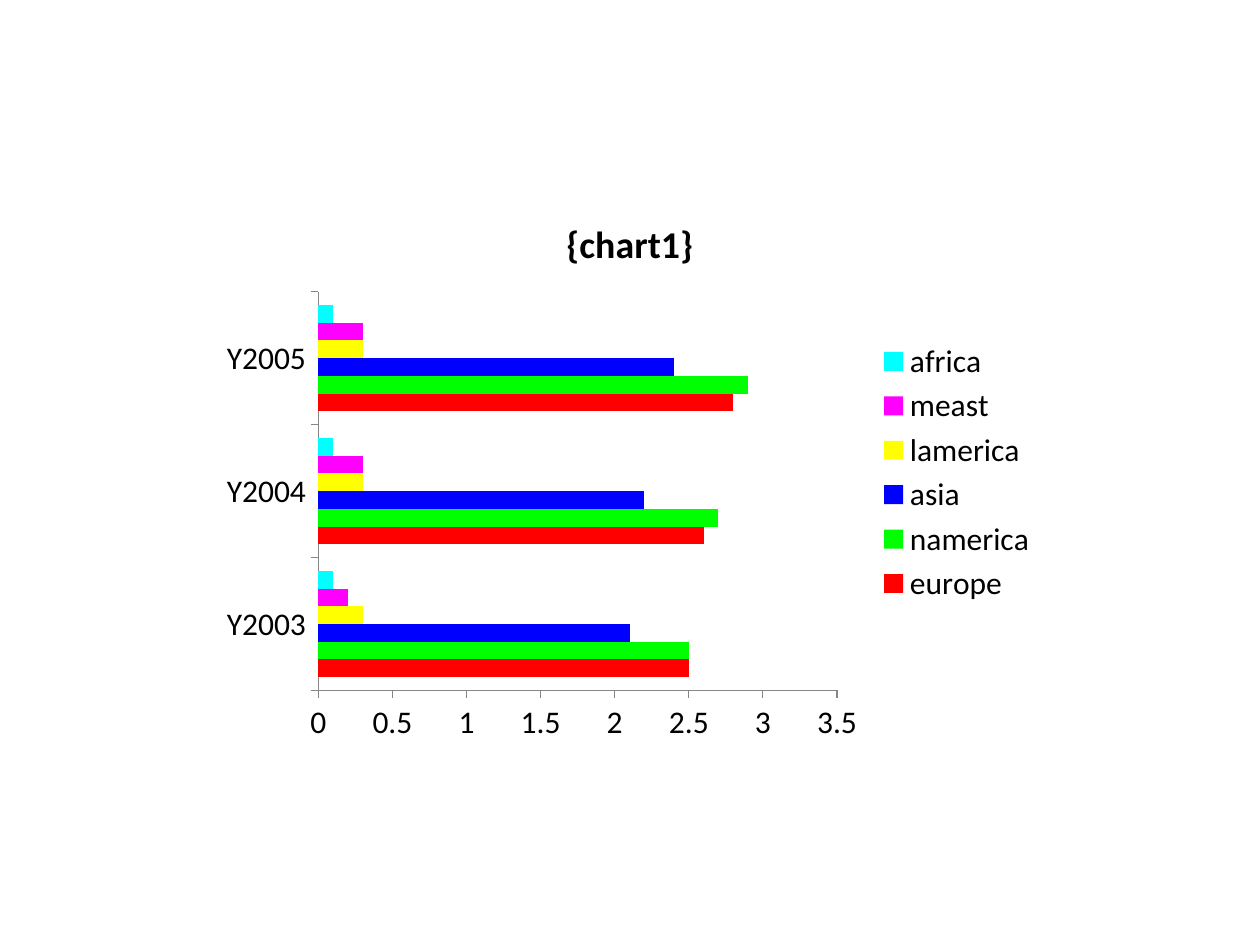
from pptx import Presentation
from pptx.chart.data import CategoryChartData as ChartData
from pptx.dml.color import RGBColor
from pptx.enum.chart import XL_CHART_TYPE as ChartType
from pptx.enum.chart import XL_LEGEND_POSITION as LegendPosition
from pptx.enum.chart import XL_TICK_MARK as TickMark
from pptx.util import Inches, Pt

BLACK = RGBColor(0, 0, 0)
GRAY = RGBColor(0x86, 0x86, 0x86)
RED = RGBColor(255, 0, 0)
GREEN = RGBColor(0, 255, 0)
BLUE = RGBColor(0, 0, 255)
YELLOW = RGBColor(255, 255, 0)
MAGENTA = RGBColor(255, 0, 255)
CYAN = RGBColor(0, 255, 255)

YEARS = ["Y2003", "Y2004", "Y2005"]
REGIONS = [
    ("europe", RED, (2.5, 2.6, 2.8)),
    ("namerica", GREEN, (2.5, 2.7, 2.9)),
    ("asia", BLUE, (2.1, 2.2, 2.4)),
    ("lamerica", YELLOW, (0.3, 0.3, 0.3)),
    ("meast", MAGENTA, (0.2, 0.3, 0.3)),
    ("africa", CYAN, (0.1, 0.1, 0.1)),
]


def style_font(font, size=18, bold=False, color=BLACK, name="Calibri"):
    font.size = Pt(size)
    font.bold = bold
    font.name = name
    font.color.rgb = color


def write_text(frame, text, **style):
    span = frame.paragraphs[0].add_run()
    span.text = text
    style_font(span.font, **style)


class Canvas:
    def __init__(self, deck):
        self.width, self.height = deck.slide_width, deck.slide_height
        self.page = deck.slides.add_slide(deck.slide_layouts[6])

    def bar_chart(self, left, top, width, height, title, categories, rows):
        data = ChartData()
        data.categories = categories
        for name, _, values in rows:
            data.add_series(name, values)
        chart = self.page.shapes.add_chart(
            ChartType.BAR_CLUSTERED,
            int(left * self.width), int(top * self.height),
            int(width * self.width), int(height * self.height), data,
        ).chart
        style_font(chart.font)
        chart.has_title = True
        write_text(chart.chart_title.text_frame, title, size=21.6, bold=True)
        chart.chart_title.include_in_layout = False
        chart.has_legend = True
        chart.legend.position = LegendPosition.RIGHT
        chart.legend.include_in_layout = False
        plot = chart.plots[0]
        plot.gap_width = 150
        plot.vary_by_categories = False
        for series, (_, color, _) in zip(plot.series, rows):
            series.invert_if_negative = False
            series.format.fill.solid()
            series.format.fill.fore_color.rgb = color
        for axis in (chart.category_axis, chart.value_axis):
            axis.has_major_gridlines = False
            axis.major_tick_mark = TickMark.OUTSIDE
            axis.format.line.color.rgb = GRAY
            axis.format.line.width = Pt(0.75)
        chart.value_axis.minimum_scale = 0
        chart.value_axis.maximum_scale = 3.5
        chart.value_axis.major_unit = 0.5


deck = Presentation()
deck.slide_width, deck.slide_height = Inches(10), Inches(7.5)
canvas = Canvas(deck)
canvas.bar_chart(1 / 6, 1.53 / 7.5, 2 / 3, 4.44 / 7.5, "{chart1}", YEARS, REGIONS)
deck.save("out.pptx")
